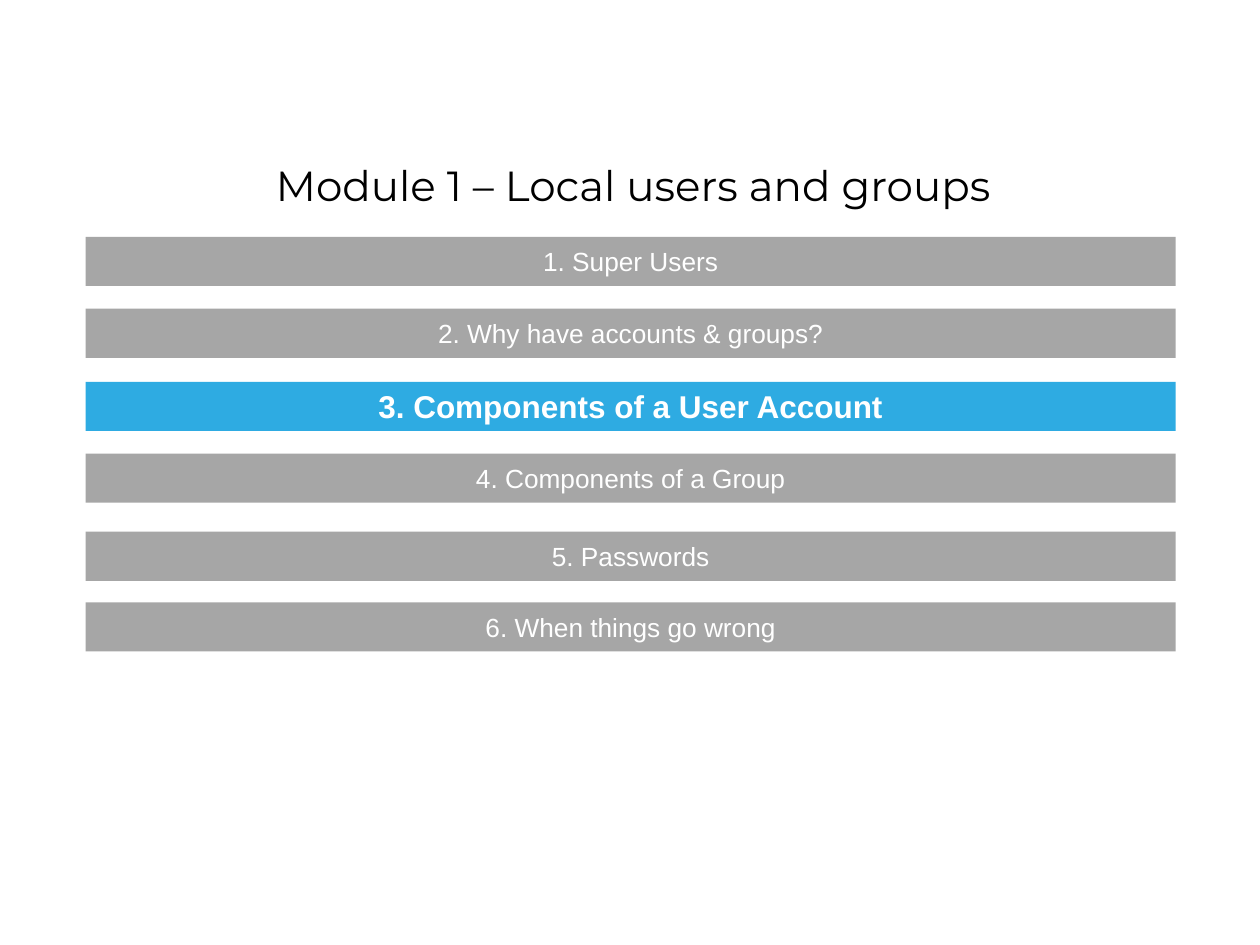
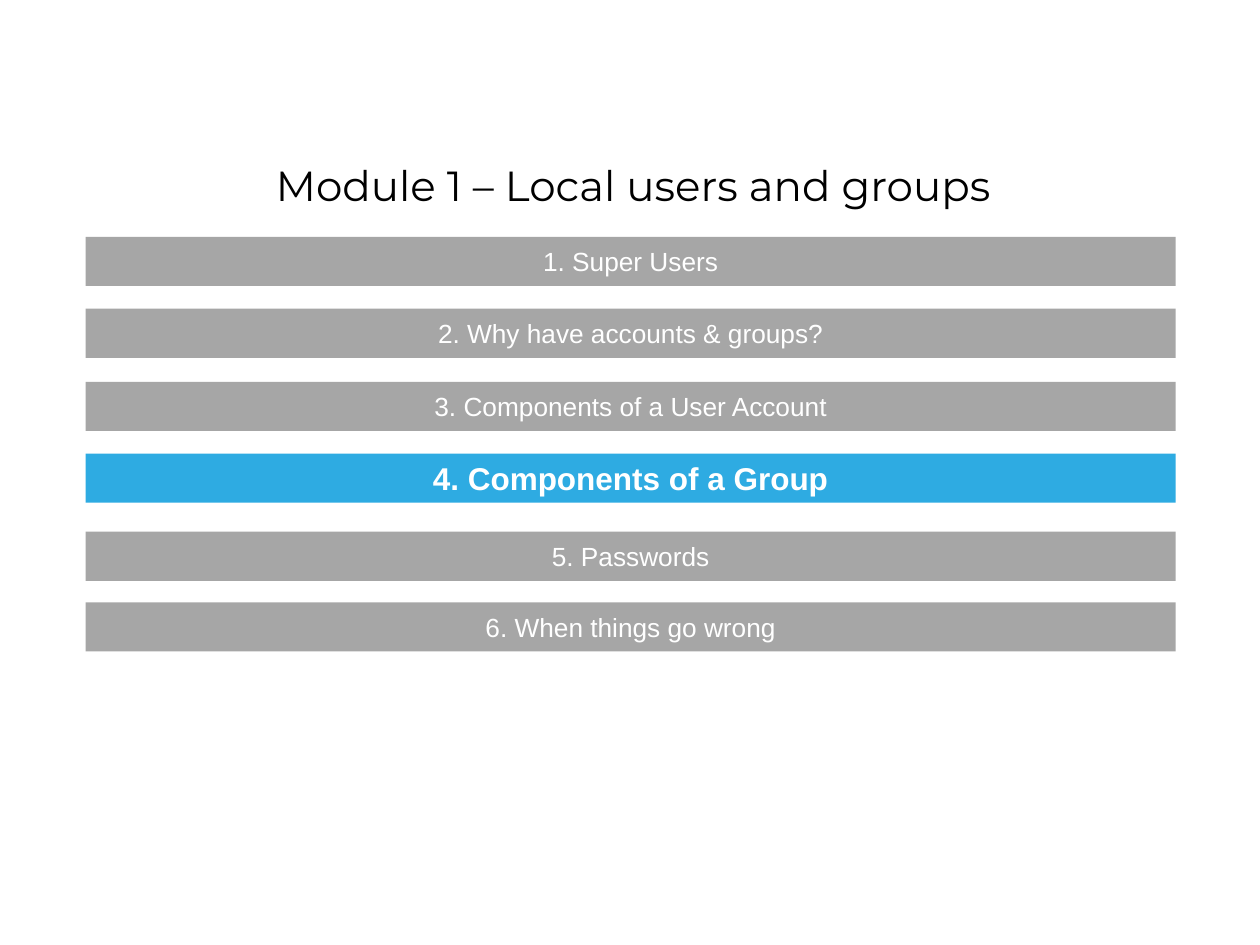
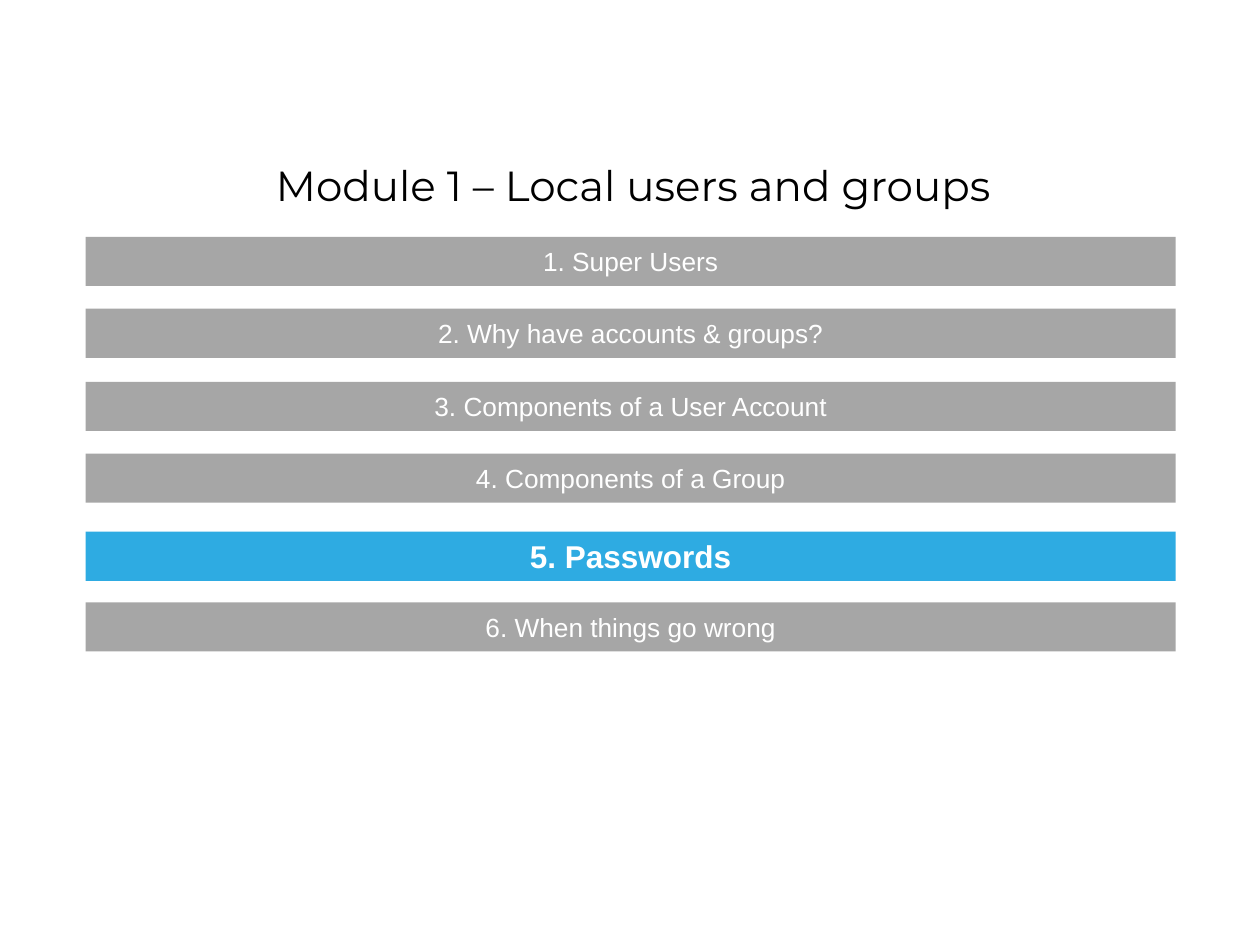
"""Build the three agenda slides of Module 1, each with its current topic highlighted."""
import dataclasses

import pptx
import pptx.dml.color
import pptx.enum.shapes
import pptx.enum.text
import pptx.util

Inches = pptx.util.Inches
Pt = pptx.util.Pt

TITLE = "Module 1 – Local users and groups"
TOPICS = [
    ("Super Users", 1.88),
    ("Why have accounts & groups?", 2.45),
    ("Components of a User Account", 3.03),
    ("Components of a Group", 3.6),
    ("Passwords", 4.22),
    ("When things go wrong", 4.78),
]
CURRENT_TOPICS = [3, 4, 5]

TITLE_AREA = (0.5, 1.23, 9.05, 0.48)
BAR_LEFT, BAR_WIDTH, BAR_HEIGHT = 0.68, 8.65, 0.39


@dataclasses.dataclass(frozen=True)
class Theme:
    title_font: str = "Montserrat"
    topic_font: str = "Arial"
    title_size: int = 24
    topic_size: int = 15
    current_size: int = 18
    title_color: str = "000000"
    topic_color: str = "FFFFFF"
    bar_color: str = "A6A6A6"
    current_color: str = "2EABE2"


THEME = Theme()


def rgb(value):
    return pptx.dml.color.RGBColor.from_string(value)


def write_line(shape, text, font, size, color, bold=False):
    frame = shape.text_frame
    frame.text = text
    frame.word_wrap = True
    frame.vertical_anchor = pptx.enum.text.MSO_ANCHOR.MIDDLE
    para = frame.paragraphs[0]
    para.alignment = pptx.enum.text.PP_ALIGN.CENTER
    para.font.name = font
    para.font.size = Pt(size)
    para.font.bold = bold
    para.font.color.rgb = rgb(color)


def add_title(page):
    title = page.shapes.title
    title.left, title.top, title.width, title.height = map(Inches, TITLE_AREA)
    write_line(title, TITLE, THEME.title_font, THEME.title_size, THEME.title_color)
    frame = title.text_frame
    frame.auto_size = pptx.enum.text.MSO_AUTO_SIZE.NONE
    frame.margin_left = frame.margin_right = Inches(0.07)
    frame.margin_top = frame.margin_bottom = Inches(0.04)


def add_topic_bar(page, number, topic, top, is_current):
    bar = page.shapes.add_shape(
        pptx.enum.shapes.MSO_SHAPE.RECTANGLE,
        *map(Inches, (BAR_LEFT, top, BAR_WIDTH, BAR_HEIGHT)),
    )
    bar.shadow.inherit = False
    bar.fill.solid()
    bar.fill.fore_color.rgb = rgb(THEME.current_color if is_current else THEME.bar_color)
    bar.line.fill.background()
    size = THEME.current_size if is_current else THEME.topic_size
    write_line(bar, f"{number}. {topic}", THEME.topic_font, size, THEME.topic_color, is_current)


def main():
    deck = pptx.Presentation()
    deck.slide_width, deck.slide_height = Inches(10), Inches(7.5)
    title_only = deck.slide_layouts.get_by_name("Title Only")
    for current in CURRENT_TOPICS:
        page = deck.slides.add_slide(title_only)
        add_title(page)
        for number, (topic, top) in enumerate(TOPICS, start=1):
            add_topic_bar(page, number, topic, top, number == current)
    deck.save("out.pptx")


if __name__ == "__main__":
    main()
